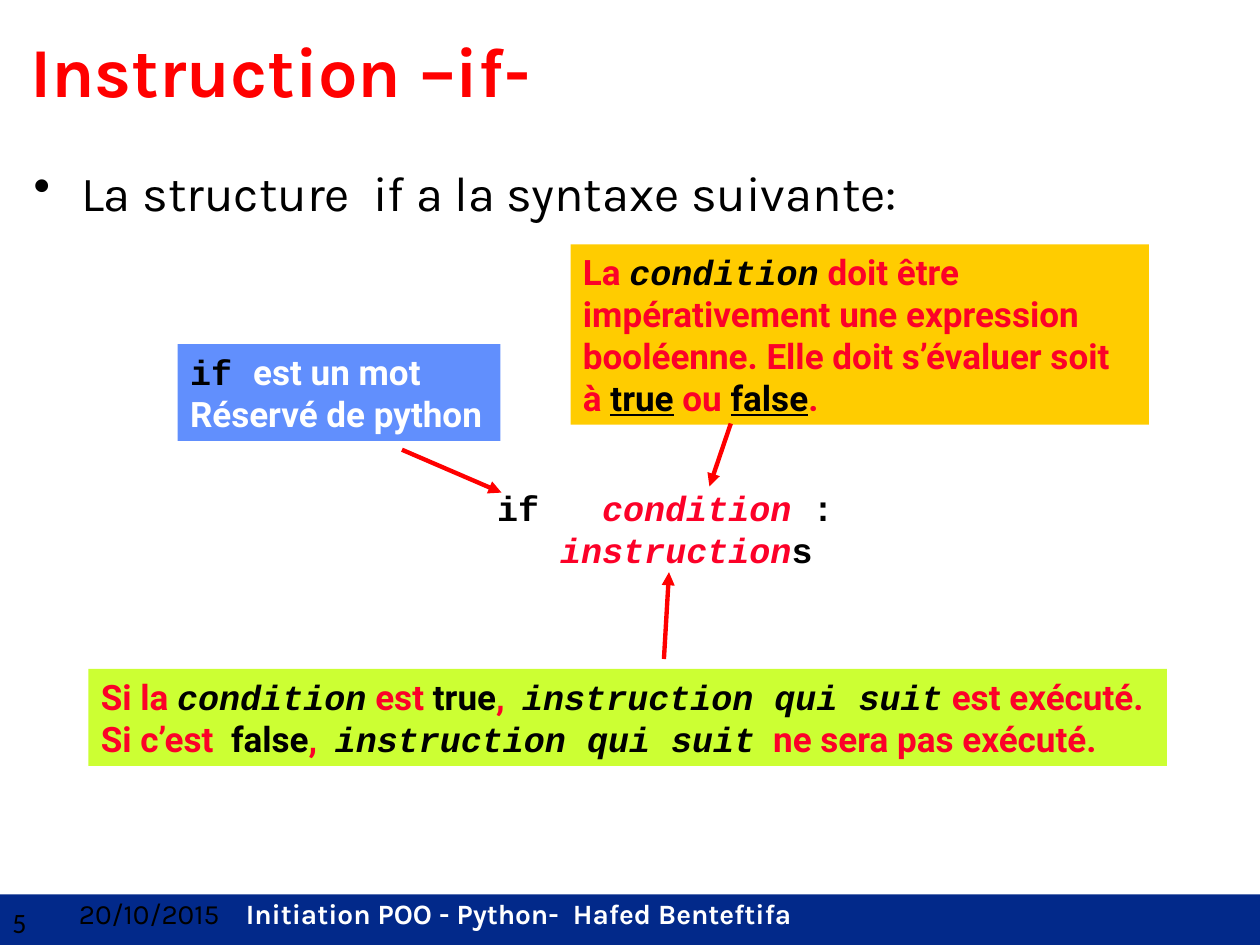
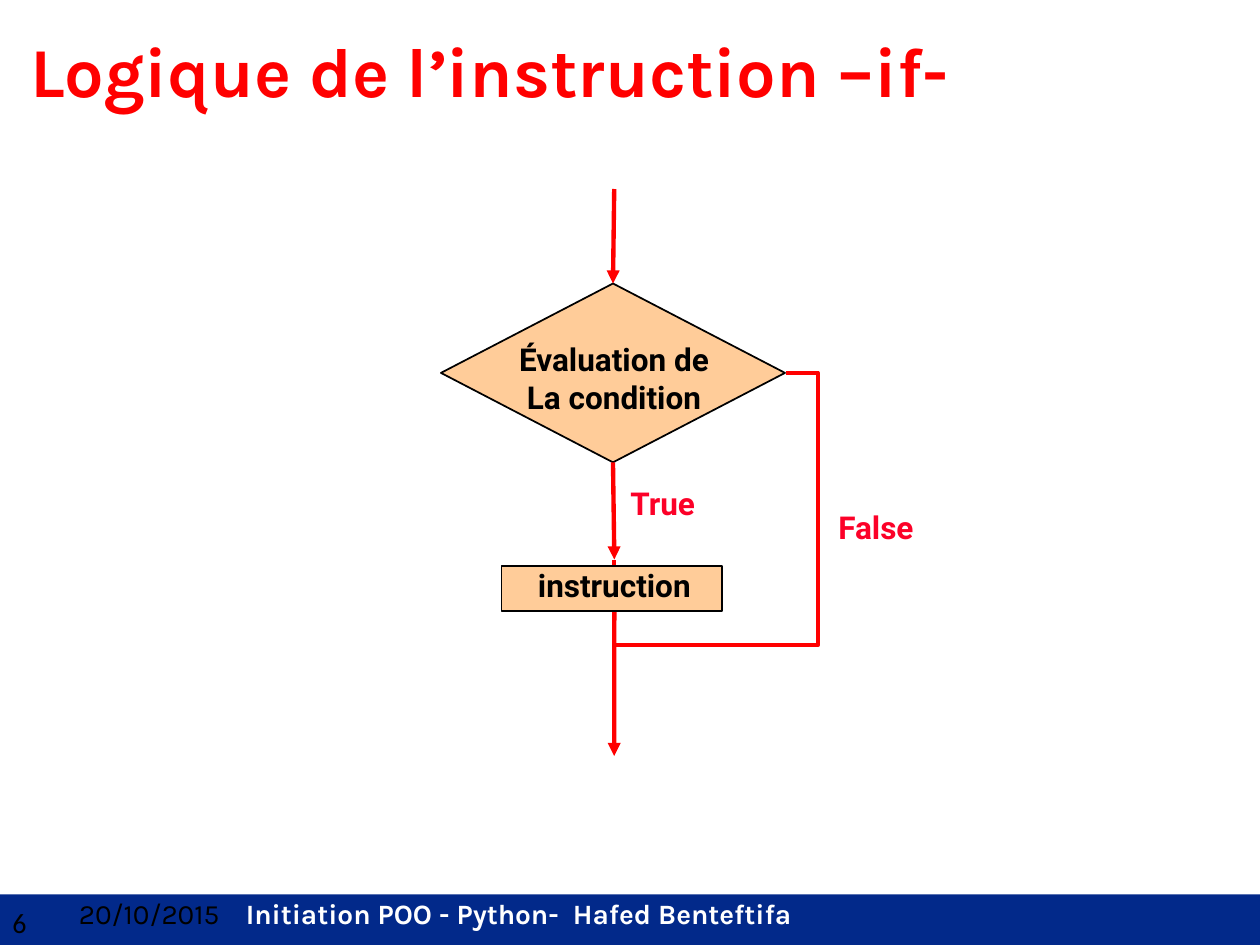
"""Build two slides on the Python if statement: its syntax and its flow chart."""
from lxml import etree
from pptx import Presentation
from pptx.dml.color import RGBColor
from pptx.enum.shapes import MSO_CONNECTOR, MSO_SHAPE
from pptx.enum.text import MSO_ANCHOR, MSO_AUTO_SIZE, PP_ALIGN
from pptx.oxml.ns import qn
from pptx.util import Pt

STRAIGHT = MSO_CONNECTOR.STRAIGHT
RECT, DIAMOND = MSO_SHAPE.RECTANGLE, MSO_SHAPE.DIAMOND
TOP, MIDDLE = MSO_ANCHOR.TOP, MSO_ANCHOR.MIDDLE
LEFT, CENTER = PP_ALIGN.LEFT, PP_ALIGN.CENTER
NO_FIT = MSO_AUTO_SIZE.NONE
SIDE_TOP, SIDE_BOTTOM = 0, 2

COLORS = {
    "black": "000000", "white": "FFFFFF", "red": "FF0000", "crimson": "FC0128",
    "navy": "02298A", "blue": "618FFD", "yellow": "FFCC00", "lime": "CCFF33",
    "peach": "FFCC99",
}

STYLES = {
    "title": ("Karla", 40, "red", "b"),
    "body": ("Karla", 28, "black", ""),
    "date": ("Karla", 16, "black", ""),
    "footer": ("Karla", 16, "white", "b"),
    "number": ("Calibri", 16, "black", ""),
    "code": ("Courier New", 20, "black", "b"),
    "term": ("Courier New", 20, "black", "bi"),
    "slot": ("Courier New", 20, "crimson", "bi"),
    "note": ("Roboto", 20, "crimson", "b"),
    "note white": ("Roboto", 20, "white", "b"),
    "value": ("Roboto", 20, "black", "b"),
    "value underlined": ("Roboto", 20, "black", "bu"),
    "step": ("Roboto", 18, "black", "b"),
    "branch": ("Roboto", 18, "crimson", "b"),
}

DATE = "20/10/2015"
FOOTER = "Initiation POO - Python-  Hafed Benteftifa"
FIRST_NUMBER = 5

SYNTAX_TITLE = "Instruction –if-"
SYNTAX_INTRO = "La structure  if a la syntaxe suivante:"
SYNTAX_BOX = (277, 274.3, 220.5, 55.4)
SYNTAX = [
    [("if\t", "code"), ("condition", "slot"), (" :", "code")],
    [("instruction", "slot"), ("s", "code")],
]
CONDITION_TAB, BLOCK_INDENT = 60, 36
CALLOUTS = [
    ("blue", (101.5, 196.6, 184.4, 55.4), [
        [("if ", "code"), ("est un mot", "note white")],
        [("Réservé de python", "note white")],
    ]),
    ("yellow", (326, 139.7, 330.5, 103), [
        [("La ", "note"), ("condition", "term"),
         (" doit être impérativement une expression booléenne. "
          "Elle doit s’évaluer soit à ", "note"),
         ("true", "value underlined"), (" ou ", "note"),
         ("false", "value underlined"), (".", "note")],
    ]),
    ("lime", (50.5, 382.3, 616.3, 55.4), [
        [("Si la ", "note"), ("condition", "term"), (" est ", "note"),
         ("true", "value"), (",  ", "note"), ("instruction qui suit", "term"),
         (" est exécuté.", "note")],
        [("Si c’est  ", "note"), ("false", "value"), (",  ", "note"),
         ("instruction qui suit", "term"), ("  ne sera pas exécuté.", "note")],
    ]),
]
CALLOUT_ARROWS = [
    (229.7, 257, 286.6, 281.5),
    (417.6, 242, 405.4, 278),
    (379.4, 376.6, 382.3, 327),
]

LOGIC_TITLE = "Logique de l’instruction –if-"
DECISION_BOX = (252, 162, 196.6, 102.2)
ACTION_BOX = (286.6, 323.3, 126, 25.9)
CONDITION_LABEL = (["Évaluation de", "La condition"], (285, 190.8, 131.8, 50.4))
ACTION_LABEL = (["instruction"], (297.4, 319.7, 107.3, 28.8))
BRANCH_LABELS = [
    (["True"], (352.8, 273, 51.8, 28.8)),
    (["False"], (471, 286.6, 59, 28.8)),
]
FLOW_X, FLOW_TOP, FLOW_END = 351, 108, 432
BYPASS = [(449, 213), (467.3, 213), (467.3, 368.6), (FLOW_X, 368.6), (FLOW_X, 320)]


def rgb(name):
    return RGBColor.from_string(COLORS[name])


def pts(values):
    return [Pt(v) for v in values]


def write(shape, lines, align=LEFT, anchor=TOP, wrap=True):
    tf = shape.text_frame
    tf.auto_size, tf.word_wrap, tf.vertical_anchor = NO_FIT, wrap, anchor
    for i, line in enumerate(lines):
        p = tf.paragraphs[0] if i == 0 else tf.add_paragraph()
        p.alignment = align
        for text, style in line:
            font, size, color, marks = STYLES[style]
            r = p.add_run()
            r.text = text
            r.font.name, r.font.size = font, Pt(size)
            r.font.color.rgb = rgb(color)
            r.font.bold, r.font.italic = "b" in marks, "i" in marks
            r.font.underline = "u" in marks
    return shape


def add_text(slide, box, lines, **layout):
    return write(slide.shapes.add_textbox(*pts(box)), lines, **layout)


def add_label(slide, label, style):
    texts, box = label
    lines = [[(text, style)] for text in texts]
    return add_text(slide, box, lines, align=CENTER, anchor=MIDDLE, wrap=False)


def add_block(slide, kind, box, fill, outline=None):
    sp = slide.shapes.add_shape(kind, *pts(box))
    sp.shadow.inherit = False
    sp.fill.solid()
    sp.fill.fore_color.rgb = rgb(fill)
    if outline:
        sp.line.color.rgb = rgb(outline)
        sp.line.width = Pt(1)
    else:
        sp.line.fill.background()
    return sp


def draw_red(line):
    line.color.rgb = rgb("red")
    line.width = Pt(2.5)


def add_arrow(slide, ends):
    arrow = slide.shapes.add_connector(STRAIGHT, *pts(ends))
    draw_red(arrow.line)
    etree.SubElement(arrow.line._get_or_add_ln(), qn("a:tailEnd"), type="triangle")
    etree.SubElement(arrow._element.spPr, qn("a:effectLst"))
    return arrow


def add_polyline(slide, points):
    start, *rest = [pts(point) for point in points]
    builder = slide.shapes.build_freeform(*start)
    builder.add_line_segments(rest, close=False)
    sp = builder.convert_to_shape()
    sp.shadow.inherit = False
    sp.fill.background()
    draw_red(sp.line)


def add_bullet(paragraph, indent):
    pPr = paragraph._p.get_or_add_pPr()
    pPr.set("marL", str(Pt(indent)))
    pPr.set("indent", str(-Pt(indent)))
    etree.SubElement(pPr, qn("a:buChar"), char="•")


def add_tab_stop(paragraph, position):
    tabs = etree.SubElement(paragraph._p.get_or_add_pPr(), qn("a:tabLst"))
    etree.SubElement(tabs, qn("a:tab"), pos=str(Pt(position)), algn="l")


def new_slide(prs, title):
    slide = prs.slides.add_slide(prs.slide_layouts[5])
    number = FIRST_NUMBER + len(prs.slides) - 1
    add_block(slide, RECT, (0, 511, 720, 29), "navy")
    add_text(slide, (0, 514, 42, 45), [[(str(number), "number")]])
    add_text(slide, (38, 509, 98, 46), [[(DATE, "date")]])
    add_text(slide, (133.4, 509, 586, 46), [[(FOOTER, "footer")]])
    sp = slide.shapes.title
    sp.left, sp.top, sp.width, sp.height = pts((10, 12.2, 697, 67))
    write(sp, [[(title, "title")]])
    return slide


def build_syntax(prs):
    slide = new_slide(prs, SYNTAX_TITLE)
    intro = add_text(slide, (12.2, 89.3, 696, 393), [[(SYNTAX_INTRO, "body")]])
    add_bullet(intro.text_frame.paragraphs[0], 27)
    syntax = add_text(slide, SYNTAX_BOX, SYNTAX, anchor=MIDDLE)
    header, block = syntax.text_frame.paragraphs
    add_tab_stop(header, CONDITION_TAB)
    block._p.get_or_add_pPr().set("marL", str(Pt(BLOCK_INDENT)))
    for fill, box, lines in CALLOUTS:
        write(add_block(slide, RECT, box, fill), lines, anchor=MIDDLE)
    for ends in CALLOUT_ARROWS:
        add_arrow(slide, ends)


def build_logic(prs):
    slide = new_slide(prs, LOGIC_TITLE)
    decision = add_block(slide, DIAMOND, DECISION_BOX, "peach", "black")
    add_label(slide, CONDITION_LABEL, "step")
    entry, true_branch, leave = [
        add_arrow(slide, (FLOW_X, FLOW_TOP, FLOW_X, FLOW_END)) for _ in range(3)
    ]
    add_polyline(slide, BYPASS)
    add_block(slide, RECT, ACTION_BOX, "peach", "black")
    action = add_label(slide, ACTION_LABEL, "step")
    entry.end_connect(decision, SIDE_TOP)
    true_branch.begin_connect(decision, SIDE_BOTTOM)
    true_branch.end_connect(action, SIDE_TOP)
    leave.begin_connect(action, SIDE_BOTTOM)
    for label in BRANCH_LABELS:
        add_label(slide, label, "branch")


def main():
    prs = Presentation()
    prs.slide_width, prs.slide_height = Pt(720), Pt(540)
    build_syntax(prs)
    build_logic(prs)
    prs.save("out.pptx")


if __name__ == "__main__":
    main()
